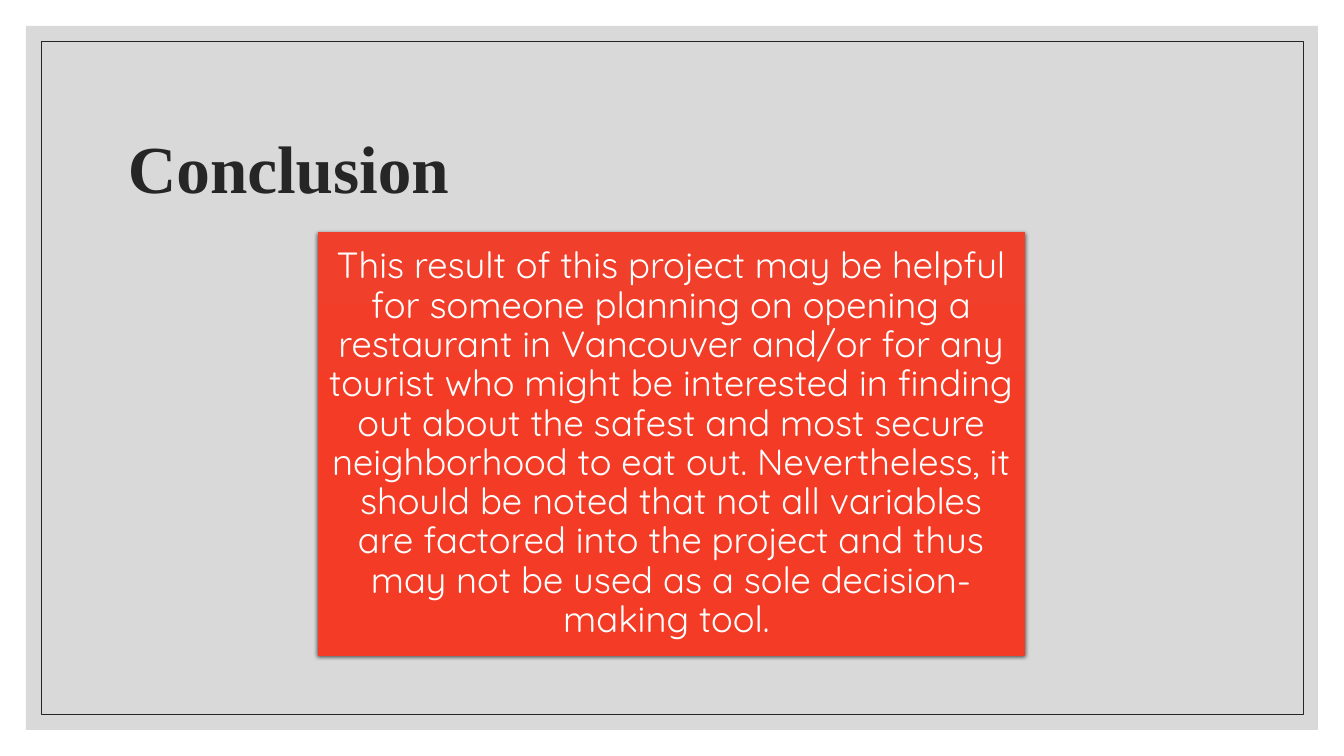
from pptx import Presentation
from pptx.dml.color import RGBColor
from pptx.enum.shapes import MSO_SHAPE as Shape
from pptx.enum.text import MSO_ANCHOR as Anchor, PP_ALIGN as Align
from pptx.oxml import parse_xml
from pptx.oxml.ns import nsdecls
from pptx.util import Pt

TITLE = "Conclusion"
BODY = (
    "This result of this project may be helpful for someone planning on "
    "opening a restaurant in Vancouver and/or for any tourist who might be "
    "interested in finding out about the safest and most secure neighborhood "
    "to eat out. Nevertheless, it should be noted that not all variables are "
    "factored into the project and thus may not be used as a sole "
    "decision-making tool. "
)

GRAY = RGBColor(0xD9, 0xD9, 0xD9)
INK = RGBColor(0x26, 0x26, 0x26)
WHITE = RGBColor(0xFF, 0xFF, 0xFF)
BLACK = RGBColor(0, 0, 0)
REDS = [
    (0, RGBColor(0xF0, 0x3F, 0x2B)),
    (50, RGBColor(0xF4, 0x3B, 0x26)),
    (100, RGBColor(0xF3, 0x3B, 0x26)),
]

# left, top, width, height in px
WIDE, HIGH = 1344, 756
PANEL = (26, 26, 1292, 704)
FRAME = (41, 41, 1262, 673)
HEAD = (118, 71, 1109, 151)
CARD = (318, 232, 707, 424)
INSET = 11


def emu(px):
    return round(px * 914400 / 100.8)


def add_rect(slide, box):
    rect = slide.shapes.add_shape(Shape.RECTANGLE, *map(emu, box))
    rect.shadow.inherit = False
    rect.fill.background()
    rect.line.fill.background()
    return rect


def add_text(frame, text, font, size, color, spacing, bold=False):
    frame.word_wrap = True
    frame.vertical_anchor = Anchor.MIDDLE
    para = frame.paragraphs[0]
    para.line_spacing = spacing
    run = para.add_run()
    run.text = text
    run.font.name = font
    run.font.size = Pt(size)
    run.font.bold = bold
    run.font.color.rgb = color
    return para


def shade(rect, stops):
    """Give a rectangle a top-to-bottom gradient and a soft drop shadow."""
    props = rect.fill._xPr
    marks = "".join(
        f'<a:gs pos="{at * 1000}"><a:srgbClr val="{color}"/></a:gs>'
        for at, color in stops
    )
    grad = parse_xml(
        f'<a:gradFill {nsdecls("a")} rotWithShape="1"><a:gsLst>{marks}</a:gsLst>'
        '<a:lin ang="5400000" scaled="0"/></a:gradFill>'
    )
    props.replace(props.find("{*}noFill"), grad)
    props.find("{*}effectLst").append(parse_xml(
        f'<a:outerShdw {nsdecls("a")} blurRad="{Pt(3)}" dist="{Pt(1)}" '
        'dir="5400000" algn="ctr" rotWithShape="0">'
        f'<a:srgbClr val="{BLACK}"><a:alpha val="63000"/></a:srgbClr>'
        '</a:outerShdw>'
    ))


def main():
    deck = Presentation()
    deck.slide_width, deck.slide_height = emu(WIDE), emu(HIGH)
    slide = deck.slides.add_slide(deck.slide_layouts[6])

    panel = add_rect(slide, PANEL)
    panel.fill.solid()
    panel.fill.fore_color.rgb = GRAY

    border = add_rect(slide, FRAME).line
    border.color.rgb = INK
    border.width = Pt(0.5)

    head = slide.shapes.add_textbox(*map(emu, HEAD)).text_frame
    para = add_text(head, TITLE, "Times New Roman", 48, INK, 1.5, bold=True)
    para.space_after = Pt(8)

    card = add_rect(slide, CARD)
    shade(card, REDS)
    body = card.text_frame
    body.margin_left = body.margin_right = emu(INSET)
    body.margin_top = body.margin_bottom = emu(INSET)
    add_text(body, BODY, "Quicksand", 26, WHITE, 0.9).alignment = Align.CENTER

    deck.save("out.pptx")


if __name__ == "__main__":
    main()
